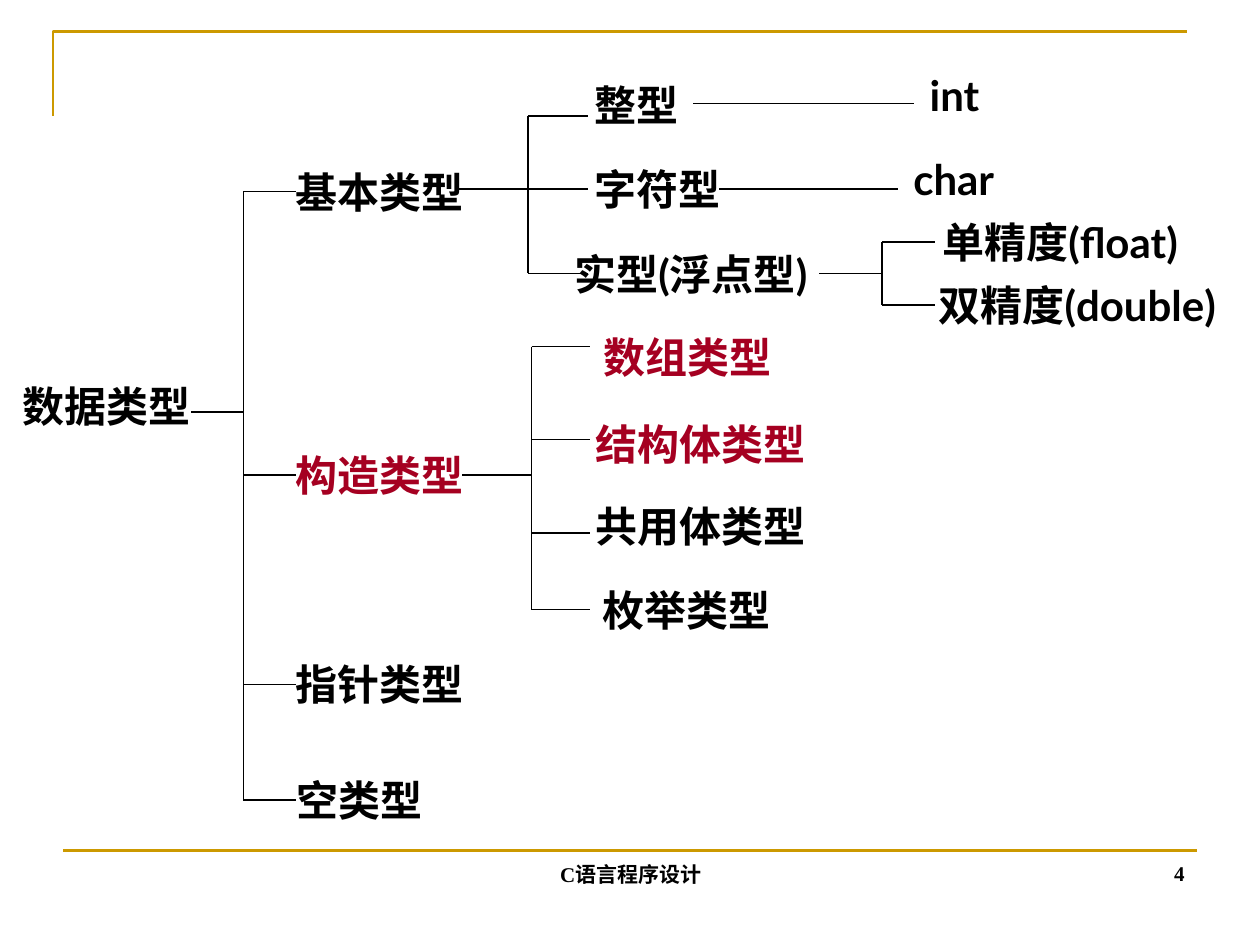
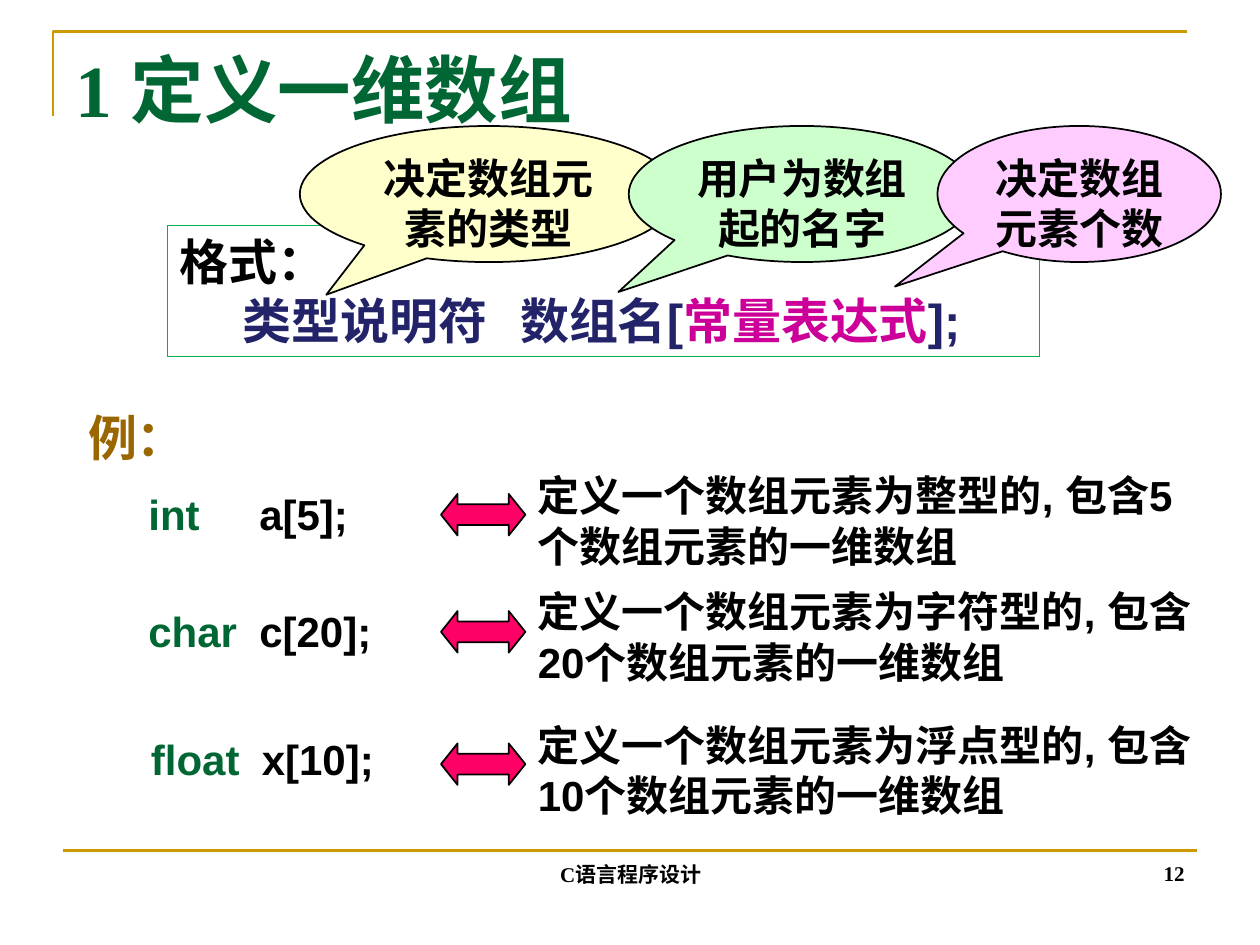
from dataclasses import dataclass

from lxml.etree import SubElement
from pptx import Presentation
from pptx.dml.color import RGBColor
from pptx.enum.shapes import MSO_CONNECTOR, MSO_SHAPE
from pptx.enum.text import MSO_ANCHOR, MSO_AUTO_SIZE, PP_ALIGN
from pptx.oxml.ns import qn
from pptx.util import Inches, Pt

COLORS = {
    "black": "000000", "gold": "CC9900", "red": "A50021", "green": "006633",
    "brown": "996600", "navy": "232369", "magenta": "CC0099",
    "frame": "00B050", "arrow": "FF0066",
    "yellow": "FFFFCC", "mint": "CCFFCC", "pink": "FFCCFF",
}
SERIF, SANS, TREE_FONT = "Times New Roman", "Arial", "Lato"


@dataclass
class Span:
    text: str
    color: str = "black"


@dataclass
class Style:
    font: str
    size: float = 24
    align: PP_ALIGN = PP_ALIGN.LEFT


@dataclass
class Label:
    text: str
    left: float
    top: float
    width: float
    color: str = "black"
    align: PP_ALIGN = PP_ALIGN.LEFT
    wrap: bool = True


@dataclass
class Bracket:
    """A stem that meets a trunk, from which branches run to the right."""
    stem_left: float
    stem_y: float
    trunk: float
    branch_right: float
    branch_ys: tuple


@dataclass
class Callout:
    text: str
    left: float
    width: float
    color: str
    tip: tuple


@dataclass
class Example:
    keyword: str
    variable: str
    meaning: str
    left: float
    code_top: float
    meaning_top: float
    arrow_top: float


CENTER = PP_ALIGN.CENTER
LABELS = [
    Label("数据类型", 0.08, 2.97, 1.83),
    Label("基本类型", 2.22, 1.27, 1.58, align=CENTER),
    Label("构造类型", 2.22, 3.52, 1.58, "red", CENTER),
    Label("指针类型", 2.22, 5.18, 1.58, align=CENTER),
    Label("空类型", 2.06, 6.1, 1.58, align=CENTER),
    Label("整型", 4.62, 0.58, 0.99),
    Label("字符型", 4.62, 1.25, 1.2, wrap=False),
    Label("实型(浮点型)", 4.46, 1.92, 2.33, wrap=False),
    Label("数组类型", 4.69, 2.58, 1.53, "red", wrap=False),
    Label("结构体类型", 4.63, 3.27, 2.08, "red"),
    Label("共用体类型", 4.63, 3.92, 2.08),
    Label("枚举类型", 4.57, 4.59, 1.76, align=CENTER),
    Label("int", 7.28, 0.5, 0.75, wrap=False),
    Label("char", 7.15, 1.17, 0.94, wrap=False),
    Label("单精度(float)", 7.38, 1.67, 2.29, wrap=False),
    Label("双精度(double)", 7.35, 2.17, 2.65, wrap=False),
]
BRACKETS = [
    Bracket(1.52, 3.27, 1.93, 2.35, (1.52, 3.77, 5.43, 6.35)),
    Bracket(3.63, 1.5, 4.19, 4.67, (0.92, 1.5, 2.17)),
    Bracket(3.67, 3.77, 4.22, 4.68, (2.75, 3.49, 4.23, 4.84)),
    Bracket(6.5, 2.17, 7, 7.42, (1.92, 2.42)),
]
CALLOUTS = [
    Callout("决定数组元素的类型", 2.38, 3, "yellow", (-0.43, 0.74)),
    Callout("用户为数组起的名字", 4.99, 2.75, "mint", (-0.53, 0.72)),
    Callout("决定数组元素个数", 7.44, 2.25, "pink", (-0.65, 0.68)),
]
EXAMPLES = [
    Example("int", "a[5];", "定义一个数组元素为整型的, 包含5个数组元素的一维数组",
            1.08, 3.83, 3.68, 3.92),
    Example("char", "c[20];", "定义一个数组元素为字符型的, 包含20个数组元素的一维数组",
            1.08, 4.76, 4.6, 4.85),
    Example("float", "x[10];", "定义一个数组元素为浮点型的, 包含10个数组元素的一维数组",
            1.1, 5.77, 5.66, 5.9),
]


def rgb(name: str) -> RGBColor:
    return RGBColor.from_string(COLORS[name])


def place(left: float, top: float, width: float, height: float) -> list:
    return [Inches(value) for value in (left, top, width, height)]


def set_line(shape, color: str, width: float) -> None:
    shape.line.color.rgb = rgb(color)
    shape.line.width = Pt(width)


def set_tabs(para, stops: list) -> None:
    tab_list = SubElement(para._p.get_or_add_pPr(), qn("a:tabLst"))
    for stop in stops:
        SubElement(tab_list, qn("a:tab"), pos=str(Inches(stop)), algn="l")


def write(para, spans: list, style: Style, tabs: list = ()) -> None:
    para.alignment = style.align
    if tabs:
        set_tabs(para, tabs)
    for span in spans:
        run = para.add_run()
        run.text = span.text
        run.font.name, run.font.size, run.font.bold = style.font, Pt(style.size), True
        run.font.color.rgb = rgb(span.color)


def add_text(page, area: tuple, spans: list, style: Style, tabs: list = (),
             anchor=MSO_ANCHOR.TOP, wrap: bool = True):
    box = page.shapes.add_textbox(*place(*area))
    frame = box.text_frame
    frame.word_wrap = wrap
    frame.auto_size = MSO_AUTO_SIZE.NONE if wrap else MSO_AUTO_SIZE.SHAPE_TO_FIT_TEXT
    frame.vertical_anchor = anchor
    write(frame.paragraphs[0], spans, style, tabs)
    return box


def add_shape(page, kind, area: tuple, line: str, fill: str = "", adjust: tuple = ()):
    shape = page.shapes.add_shape(kind, *place(*area))
    shape.shadow.inherit = False
    set_line(shape, line, 1)
    if fill:
        shape.fill.solid()
        shape.fill.fore_color.rgb = rgb(fill)
    else:
        shape.fill.background()
    for index, value in enumerate(adjust):
        shape.adjustments[index] = value
    shape.text_frame.word_wrap = True
    shape.text_frame.vertical_anchor = MSO_ANCHOR.TOP
    return shape


def add_line(page, left: float, top: float, right: float, bottom: float,
             color: str = "black", width: float = 0.75) -> None:
    line = page.shapes.add_connector(MSO_CONNECTOR.STRAIGHT, *place(left, top, right, bottom))
    set_line(line, color, width)
    SubElement(line._element.spPr, qn("a:effectLst"))


def add_bracket(page, bracket: Bracket) -> None:
    ys = bracket.branch_ys
    add_line(page, bracket.stem_left, bracket.stem_y, bracket.trunk, bracket.stem_y)
    add_line(page, bracket.trunk, min(ys), bracket.trunk, max(ys))
    for y in ys:
        add_line(page, bracket.trunk, y, bracket.branch_right, y)


def add_page(deck, layout: int, number: int):
    """Start a page with the gold lines and the footer."""
    page = deck.slides.add_slide(deck.slide_layouts[layout])
    builder = page.shapes.build_freeform(Inches(0.42), Inches(0.92))
    builder.add_line_segments([(Inches(0.42), Inches(0.25)), (Inches(9.42), Inches(0.25))],
                              close=False)
    corner = builder.convert_to_shape()
    corner.shadow.inherit = False
    corner.fill.background()
    set_line(corner, "gold", 1.5)
    add_line(page, 0.5, 6.75, 9.5, 6.75, "gold", 1.5)
    add_text(page, (3.42, 6.59, 3.17, 0.5), [Span("C语言程序设计")],
             Style(SERIF, 12, CENTER), anchor=MSO_ANCHOR.BOTTOM)
    add_text(page, (7.17, 6.58, 2.33, 0.5), [Span(str(number))],
             Style(SERIF, 12, PP_ALIGN.RIGHT), anchor=MSO_ANCHOR.BOTTOM)
    return page


def set_title(page, text: str) -> None:
    title = page.shapes.title
    title.left, title.top, title.width, title.height = place(0.5, 0.3, 9, 1.25)
    title.text_frame.vertical_anchor = MSO_ANCHOR.TOP
    title.text_frame.auto_size = MSO_AUTO_SIZE.NONE
    write(title.text_frame.paragraphs[0], [Span(text, "green")], Style(SERIF, 42))


def build_type_tree(deck) -> None:
    page = add_page(deck, 6, 4)
    for bracket in BRACKETS:
        add_bracket(page, bracket)
    # Links from a type to its keyword
    add_line(page, 5.5, 0.82, 7.25, 0.82)
    add_line(page, 5.71, 1.5, 7.13, 1.5)
    for label in LABELS:
        add_text(page, (label.left, label.top, label.width, 0.5),
                 [Span(label.text, label.color)],
                 Style(TREE_FONT, align=label.align), wrap=label.wrap)


def build_array_definition(deck) -> None:
    page = add_page(deck, 5, 12)
    set_title(page, "1 定义一维数组")
    heading = add_text(page, (0.6, 3.09, 1.35, 0.66), [Span("例：", "brown")], Style(SERIF, 28))
    heading.text_frame.paragraphs[0].line_spacing = 1.2

    # Syntax frame
    syntax = add_shape(page, MSO_SHAPE.RECTANGLE, (1.33, 1.79, 6.92, 1.04), "frame")
    frame = syntax.text_frame
    write(frame.paragraphs[0], [Span("格式：")], Style(SANS, 28))
    write(frame.add_paragraph(),
          [Span("\t类型说明符\t数组名[", "navy"), Span("常量表达式", "magenta"), Span("];", "navy")],
          Style(SANS, 28), tabs=[0.5, 2.7])

    # Declarations and their meanings
    for example in EXAMPLES:
        add_text(page, (example.left, example.code_top, 2.5, 0.5),
                 [Span(example.keyword + "\t", "green"), Span(example.variable)],
                 Style(SANS), tabs=[0.88])
        add_text(page, (4.17, example.meaning_top, 5.5, 0.9), [Span(example.meaning)],
                 Style(SANS), anchor=MSO_ANCHOR.MIDDLE)
        add_shape(page, MSO_SHAPE.LEFT_RIGHT_ARROW, (3.5, example.arrow_top, 0.67, 0.33),
                  "black", "arrow", (0.5, 0.4))

    # Callouts over the syntax
    for callout in CALLOUTS:
        bubble = add_shape(page, MSO_SHAPE.OVAL_CALLOUT, (callout.left, 1, callout.width, 1.08),
                           "black", callout.color, callout.tip)
        write(bubble.text_frame.paragraphs[0], [Span(callout.text)], Style(SANS, align=CENTER))


def main() -> None:
    deck = Presentation()
    deck.slide_width, deck.slide_height = Inches(10), Inches(7.5)
    build_type_tree(deck)
    build_array_definition(deck)
    deck.save("out.pptx")


if __name__ == "__main__":
    main()
